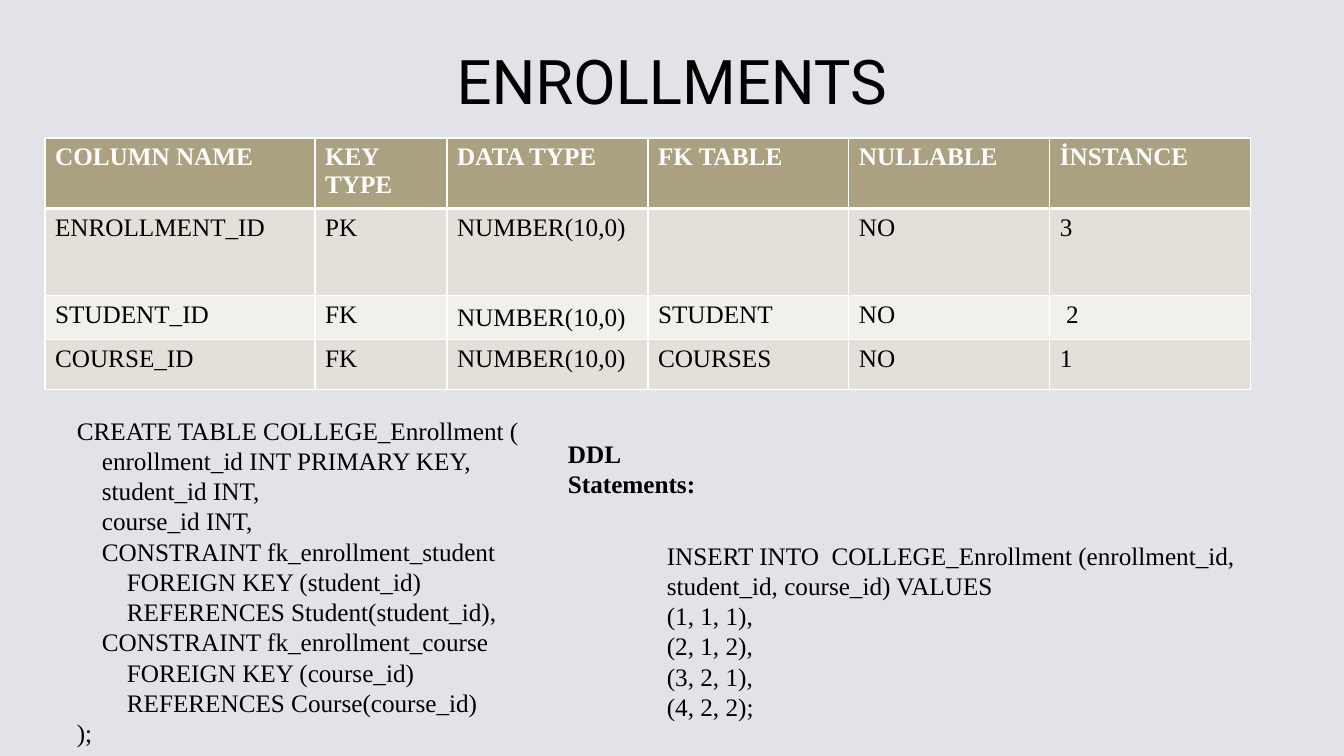
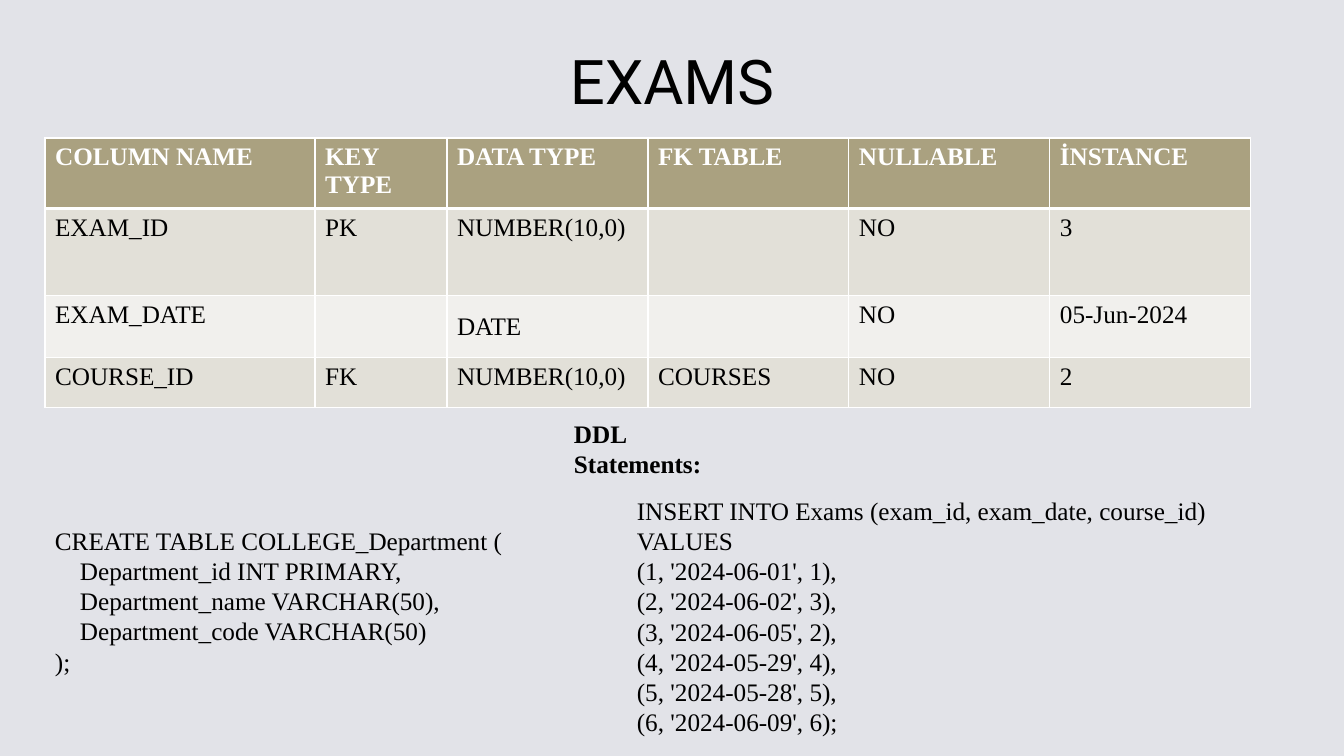
from pptx import Presentation
from pptx.dml.color import RGBColor
from pptx.enum.text import MSO_ANCHOR as Anchor, MSO_AUTO_SIZE as AutoSize, PP_ALIGN as Align
from pptx.oxml import parse_xml
from pptx.oxml.ns import nsdecls
from pptx.util import Emu, Pt

# Shared scale, colours and fonts
SLIDE_WIDTH, SLIDE_HEIGHT = 1344, 756
EMU_PER_PX = 12192000 / SLIDE_WIDTH
BACKGROUND = RGBColor(0xE2, 0xE3, 0xE8)
HEADER_FILL = RGBColor(0xAA, 0xA1, 0x80)
BAND_FILLS = [RGBColor(0xF1, 0xF0, 0xED), RGBColor(0xE2, 0xE0, 0xD8)]
BLACK = RGBColor(0x00, 0x00, 0x00)
WHITE = RGBColor(0xFF, 0xFF, 0xFF)
TITLE_FONT, BODY_FONT = "Roboto", "Times New Roman"
INDENT = 25

# Shared table layout
HEADERS = ["COLUMN NAME", "KEY TYPE", "DATA TYPE", "FK TABLE", "NULLABLE", "İNSTANCE"]
COLUMN_WIDTHS = [270, 132, 201, 201, 201, 201]

# Content: boxes are left, top, width, height; four leading spaces are one indent
SLIDES = [
    {
        "title": "ENROLLMENTS",
        "row_heights": [70, 87, 44, 50],
        "rows": [
            ["ENROLLMENT_ID", "PK", "NUMBER(10,0)", "", "NO", "3"],
            ["STUDENT_ID", "FK", "NUMBER(10,0)", "STUDENT", "NO", " 2"],
            ["COURSE_ID", "FK", "NUMBER(10,0)", "COURSES", "NO", "1"],
        ],
        "label_box": (558, 433, 198, 102),
        "create_box": (67, 410, 671, 346),
        "create": """CREATE TABLE COLLEGE_Enrollment (
    enrollment_id INT PRIMARY KEY,
    student_id INT,
    course_id INT,
    CONSTRAINT fk_enrollment_student
        FOREIGN KEY (student_id)
        REFERENCES Student(student_id),
    CONSTRAINT fk_enrollment_course
        FOREIGN KEY (course_id)
        REFERENCES Course(course_id)
);""",
        "insert_box": (657, 535, 671, 194),
        "insert": """INSERT INTO  COLLEGE_Enrollment (enrollment_id, student_id, course_id) VALUES
(1, 1, 1),
(2, 1, 2),
(3, 2, 1),
(4, 2, 2);""",
    },
    {
        "title": "EXAMS",
        "row_heights": [70, 87, 62, 50],
        "rows": [
            ["EXAM_ID", "PK", "NUMBER(10,0)", "", "NO", "3"],
            ["EXAM_DATE", "", "DATE", "", "NO", "05-Jun-2024"],
            ["COURSE_ID", "FK", "NUMBER(10,0)", "COURSES", "NO", "2"],
        ],
        "label_box": (564, 413, 198, 102),
        "create_box": (45, 520, 583, 163),
        "create": """CREATE TABLE COLLEGE_Department (
    Department_id INT PRIMARY,
    Department_name VARCHAR(50),
    Department_code VARCHAR(50)
);""",
        "insert_box": (627, 490, 671, 254),
        "insert": """INSERT INTO Exams (exam_id, exam_date, course_id) VALUES
(1, '2024-06-01', 1),
(2, '2024-06-02', 3),
(3, '2024-06-05', 2),
(4, '2024-05-29', 4),
(5, '2024-05-28', 5),
(6, '2024-06-09', 6);""",
    },
]


def px(length):
    return Emu(round(length * EMU_PER_PX))


def write_text(text_frame, text, font=BODY_FONT, size=18, color=BLACK, bold=False):
    lines = text.split("\n")
    levels = [(len(line) - len(line.lstrip())) // 4 for line in lines]
    text_frame.text = "\n".join(line[4 * level:] for line, level in zip(lines, levels))
    for paragraph, level in zip(text_frame.paragraphs, levels):
        if level:
            properties = paragraph._p.get_or_add_pPr()
            properties.set("marL", str(px(level * INDENT)))
            properties.set("indent", "0")
        for run in paragraph.runs:
            run.font.name = font
            run.font.size = Pt(size)
            run.font.bold = bold
            run.font.color.rgb = color


presentation = Presentation()
presentation.slide_width = px(SLIDE_WIDTH)
presentation.slide_height = px(SLIDE_HEIGHT)
master_fill = presentation.slide_master.background.fill
master_fill.solid()
master_fill.fore_color.rgb = BACKGROUND

for content in SLIDES:
    slide = presentation.slides.add_slide(presentation.slide_layouts[6])

    # Title
    title = slide.shapes.add_textbox(px(92), px(12), px(1160), px(111))
    title.text_frame.word_wrap = True
    title.text_frame.vertical_anchor = Anchor.BOTTOM
    write_text(title.text_frame, content["title"], TITLE_FONT, 44)
    title.text_frame.paragraphs[0].alignment = Align.CENTER
    title.text_frame.paragraphs[0].line_spacing = 0.9

    # Column table
    rows = [HEADERS] + content["rows"]
    heights = content["row_heights"]
    table = slide.shapes.add_table(
        len(rows), len(HEADERS), px(45), px(138), px(sum(COLUMN_WIDTHS)), px(sum(heights))
    ).table
    for column, width in zip(table.columns, COLUMN_WIDTHS):
        column.width = px(width)
    for row_index, (values, height) in enumerate(zip(rows, heights)):
        table.rows[row_index].height = px(height)
        is_header = row_index == 0
        for column_index, value in enumerate(values):
            cell = table.cell(row_index, column_index)
            write_text(cell.text_frame, value, color=WHITE if is_header else BLACK, bold=is_header)
            if (row_index, column_index) == (2, 2):
                cell.vertical_anchor = Anchor.MIDDLE
                cell.margin_top = cell.margin_bottom = px(7)
            for side in "LRTB":
                thick = (is_header and side == "B") or (row_index == 1 and side == "T")
                cell._tc.get_or_add_tcPr().append(parse_xml(
                    f'<a:ln{side} {nsdecls("a")} w="{Pt(3 if thick else 1)}"><a:solidFill>'
                    f'<a:srgbClr val="{WHITE}"/></a:solidFill></a:ln{side}>'
                ))
            cell.fill.solid()
            cell.fill.fore_color.rgb = HEADER_FILL if is_header else BAND_FILLS[row_index % 2]

    # Statements
    for box, text, bold in [
        (content["label_box"], "DDL Statements:", True),
        (content["create_box"], content["create"], False),
        (content["insert_box"], content["insert"], False),
    ]:
        text_frame = slide.shapes.add_textbox(*map(px, box)).text_frame
        text_frame.word_wrap = True
        text_frame.auto_size = AutoSize.SHAPE_TO_FIT_TEXT
        write_text(text_frame, text, bold=bold)

presentation.save("out.pptx")
